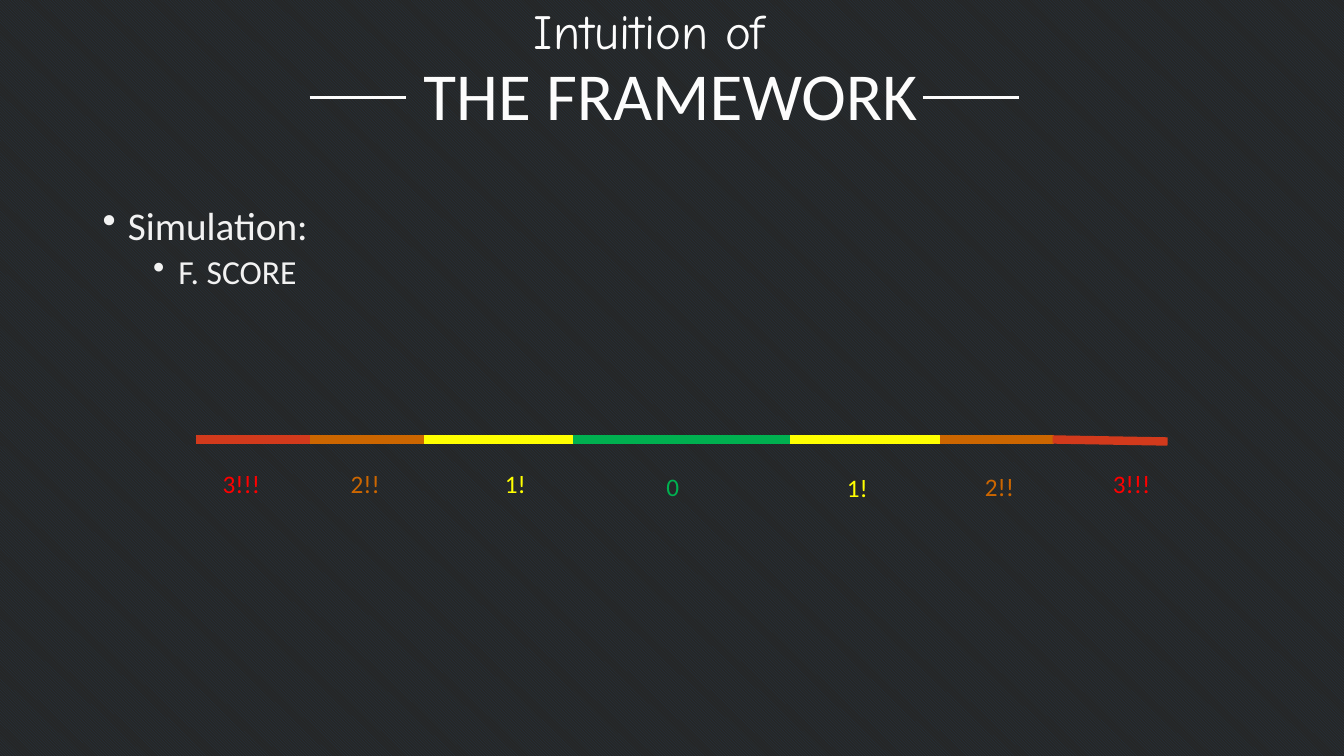
from dataclasses import dataclass

from lxml.etree import SubElement
from pptx import Presentation
from pptx.dml.color import RGBColor
from pptx.enum.dml import MSO_PATTERN
from pptx.enum.shapes import MSO_CONNECTOR
from pptx.enum.text import MSO_ANCHOR, PP_ALIGN
from pptx.oxml.ns import qn
from pptx.util import Inches, Pt

WHITE = RGBColor(0xFC, 0xFC, 0xFC)
BODY = RGBColor(0xF2, 0xF2, 0xF2)
GREEN = RGBColor(0x00, 0xB0, 0x50)
YELLOW = RGBColor(0xFF, 0xFF, 0x00)
ORANGE = RGBColor(0xCC, 0x66, 0x00)
BRICK = RGBColor(0xD2, 0x3A, 0x1C)
RED = RGBColor(0xFF, 0x00, 0x00)
BG_FORE = RGBColor(0x25, 0x38, 0x48)
BG_BACK = RGBColor(0x26, 0x26, 0x26)

TITLE_RULE_Y = 0.97
SCALE_Y = 4.36


@dataclass
class Band:
    """One segment of the score scale and its label (inches)."""
    start: float
    end: float
    color: RGBColor
    label: str
    label_color: RGBColor
    label_left: float
    label_top: float = 4.6
    drop: float = 0


@dataclass
class Bullet:
    """One bulleted line of the body text."""
    text: str
    size: int
    indent: float
    space: int
    level: int = 0


BANDS = [
    Band(1.94, 3.07, BRICK, "3!!!", RED, 2.11),
    Band(3.07, 4.21, ORANGE, "2!!", ORANGE, 3.38),
    Band(4.21, 5.68, YELLOW, "1!", YELLOW, 4.91),
    Band(5.68, 7.84, GREEN, "0", GREEN, 6.51, 4.63),
    Band(7.84, 9.32, YELLOW, "1!", YELLOW, 8.3, 4.64),
    Band(9.32, 10.45, ORANGE, "2!!", ORANGE, 9.67, 4.63),
    Band(10.44, 11.58, BRICK, "3!!!", RED, 10.94, drop=0.02),
]
BULLETS = [
    Bullet("Simulation: ", 28, 0.25, 10),
    Bullet("F. SCORE", 24, 0.75, 5, 1),
]


def add_text_frame(s, left: float, top: float, width: float, height: float):
    """Add a wrapping text box and return its text frame."""
    tf = s.shapes.add_textbox(Inches(left), Inches(top),
                              Inches(width), Inches(height)).text_frame
    tf.word_wrap = True
    return tf


def style(p, text: str, size: float, color: RGBColor, font: str = "Calibri") -> None:
    """Fill a paragraph with text and set its font."""
    p.text = text
    p.font.size = Pt(size)
    p.font.name = font
    p.font.color.rgb = color


def add_line(s, x1: float, y1: float, x2: float, y2: float,
             color: RGBColor, width: float) -> None:
    """Draw a straight line without shadow."""
    line = s.shapes.add_connector(MSO_CONNECTOR.STRAIGHT, Inches(x1), Inches(y1),
                                  Inches(x2), Inches(y2))
    line.line.color.rgb = color
    line.line.width = Pt(width)
    SubElement(line._element.spPr, qn("a:effectLst"))


def add_heading(s) -> None:
    """Add the two title lines and the rules beside them."""
    tf = add_text_frame(s, 3.49, 0.59, 6.32, 0.77)
    tf.vertical_anchor = MSO_ANCHOR.MIDDLE
    title = tf.paragraphs[0]
    style(title, "THE FRAMEWORK", 48, WHITE)
    title.line_spacing = 0.9
    kicker = add_text_frame(s, 3.28, -0.04, 6.32, 0.77).paragraphs[0]
    style(kicker, "Intuition of", 35, WHITE, "Comic Neue")
    for p in (title, kicker):
        p.alignment = PP_ALIGN.CENTER
    for left in (3.07, 9.15):
        add_line(s, left, TITLE_RULE_Y, left + 0.96, TITLE_RULE_Y, WHITE, 2.25)


def add_bullets(s) -> None:
    """Add the bulleted body text."""
    tf = add_text_frame(s, 0.92, 2, 11.5, 1.2)
    for i, bullet in enumerate(BULLETS):
        p = tf.add_paragraph() if i else tf.paragraphs[0]
        style(p, bullet.text, bullet.size, BODY)
        p.level = bullet.level
        p.line_spacing = 0.9
        p.space_before = Pt(bullet.space)
        pPr = p._p.get_or_add_pPr()
        pPr.set("marL", str(Inches(bullet.indent)))
        pPr.set("indent", str(Inches(-0.25)))
        mark = pPr.makeelement(qn("a:buChar"), {"char": "•"})
        pPr.find(qn("a:defRPr")).addprevious(mark)


def add_band(s, band: Band) -> None:
    """Draw one scale segment with its label."""
    add_line(s, band.start, SCALE_Y, band.end, SCALE_Y + band.drop, band.color, 6)
    tf = add_text_frame(s, band.label_left, band.label_top, 0.65, 0.4)
    style(tf.paragraphs[0], band.label, 18, band.label_color)


prs = Presentation()
prs.slide_width, prs.slide_height = Inches(13.33), Inches(7.5)
s = prs.slides.add_slide(prs.slide_layouts[6])
fill = s.background.fill
fill.patterned()
fill.pattern = MSO_PATTERN.DARK_DOWNWARD_DIAGONAL
fill.fore_color.rgb = BG_FORE
fill.back_color.rgb = BG_BACK

add_bullets(s)
add_heading(s)
for band in BANDS:
    add_band(s, band)

prs.save("out.pptx")
